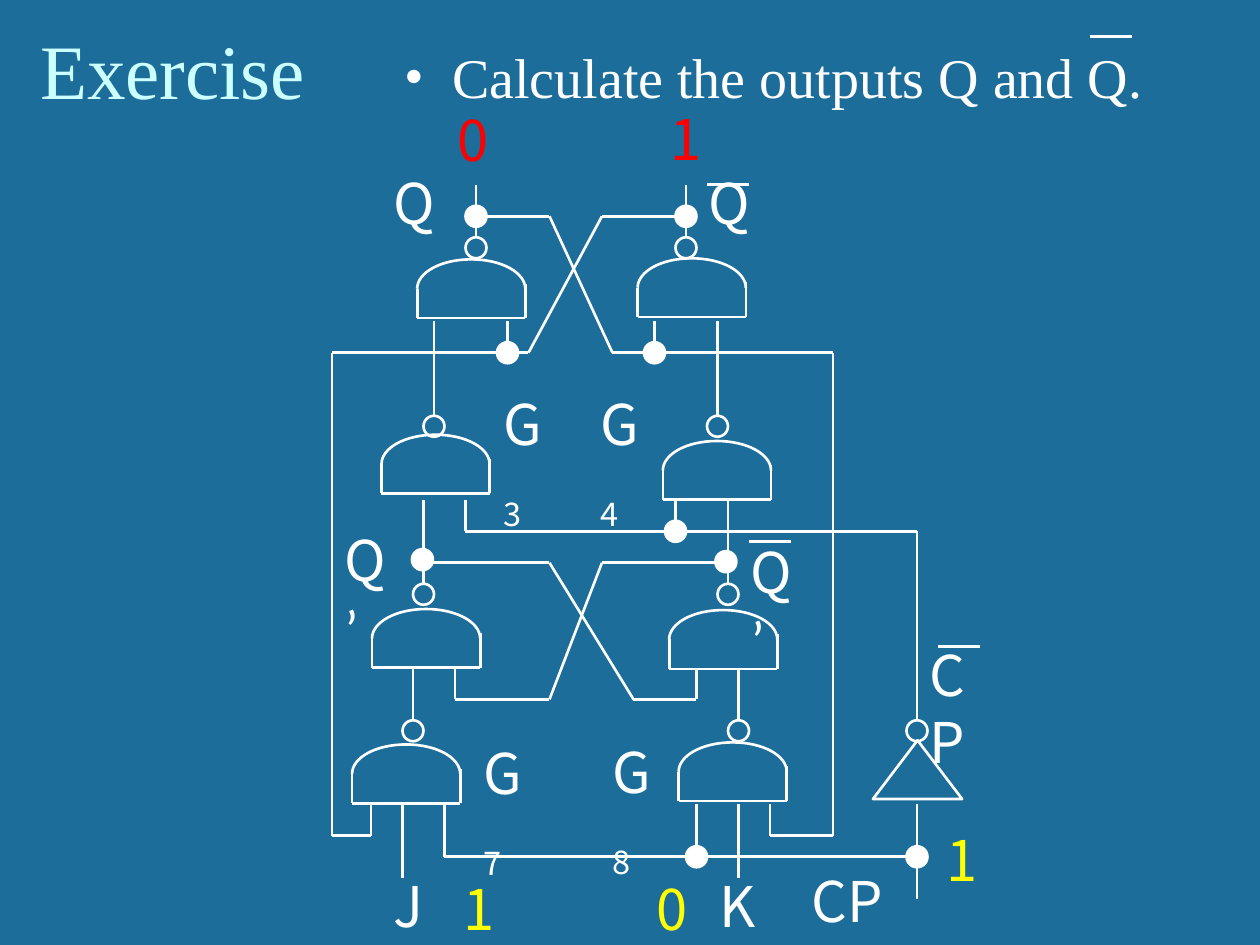
from itertools import pairwise

from lxml import etree
from pptx import Presentation, util as u
from pptx.dml.color import RGBColor
from pptx.enum import shapes, text
from pptx.oxml.ns import qn

WHITE, RED, YELLOW, TITLE, BACKGROUND = "FFFFFF", "FF0000", "FFFF00", "CCFFFF", "1C6D9A"
SERIF, SANS, PRIME = "Times New Roman", "Noto Sans CJK SC", "Calibri"
CELL = 1 / 12
CIRCUIT_ORIGIN = (CELL / 3, 0.05)
LABEL_HEIGHT = 7.6
GATE_WIDTH, GATE_HEIGHT = 10.3, 5.6
# Bezier points of a half ellipse, as shares of its width and height
DOME = [(0, 1), (0, 0.45), (0.22, 0), (0.5, 0), (0.78, 0), (1, 0.45), (1, 1)]

# All places below are columns and rows of the circuit grid.
WIRES = [
    [(45, 22), (45, 17)], [(65, 22), (65, 17)],
    # cross-coupled outputs and their feedback to the first stage
    [(45, 20), (52, 20), (58, 33), (61, 33), (79, 33), (79, 79), (73, 79), (73, 76)],
    [(59, 33), (61, 33)],
    [(65, 20), (57, 20), (50, 33), (48, 33), (31.3, 33), (31.3, 79), (35, 79), (35, 76)],
    [(48, 30), (48, 33)], [(62, 30), (62, 33)],
    [(41, 30), (41, 39)], [(68, 30), (68, 33)], [(68, 32), (68, 39)],
    # inverted clock
    [(44, 47), (44, 50), (87, 50), (87, 68)], [(64, 47), (64, 50)],
    # cross-coupled first latch
    [(40, 47), (40, 50)], [(40, 48), (40, 55)], [(40, 52), (40, 55)],
    [(69, 47), (69, 55)],
    [(40, 53), (52, 53), (60, 66), (66, 66), (66, 63)],
    [(69, 53), (57, 53), (52, 66), (43, 66), (43, 63)],
    [(39, 63), (39, 68)], [(70, 63), (70, 66)], [(70, 65), (70, 68)],
    # inputs J, K and clock
    [(38, 76), (38, 83)], [(70, 76), (70, 83)], [(87, 76), (87, 85)],
    [(42, 76), (42, 81), (88, 81)], [(66, 76), (66, 79)], [(66, 77), (66, 82)],
]
GATES = [(39.4, 24.1), (60.4, 24), (36, 40.8), (62.8, 41.4),
         (35.1, 57.4), (63.4, 57.5), (33.2, 70.3), (64.3, 70.1)]
BUBBLES = [(45, 23), (65, 23), (41, 40), (68, 40), (40, 56), (69, 56),
           (39, 69), (70, 69), (87, 69)]
DOTS = [(45, 20), (65, 20), (48, 33), (62, 33), (64, 50), (66, 81), (87, 81),
        (39.9, 52.7), (68.8, 52.9)]
OVERBARS = [(67, 17), (71, 51), (89, 61)]
LABELS = [  # left, top, width, text, colour
    (36, 14.9, 5, "Q", WHITE), (66, 14.9, 5, "Q", WHITE),
    (36, 81.8, 5, "J", WHITE), (67, 81.8, 5, "K", WHITE),
    (75.8, 81.3, 11, "CP", WHITE), (87, 59.8, 7.8, "CP", WHITE),
    (42.6, 82.1, 5.2, "1", YELLOW), (61, 82.1, 5.2, "0", YELLOW),
    (88.6, 77.4, 5.2, "1", YELLOW),
    (42.1, 8.9, 5.2, "0", RED), (62.3, 8.8, 5.2, "1", RED),
]
PRIMED_LABELS = [(31.3, 48.9, 7.8), (70, 50, 7.9)]
GATE_LABELS = [(46.4, 35.9, "3"), (55.7, 35.9, "4"), (44.5, 69.1, "7"), (56.8, 69, "8")]


def colour(value):
    return RGBColor.from_string(value)


def place(origin, column, row):
    return u.Inches(origin[0] + column * CELL), u.Inches(origin[1] + row * CELL)


def extent(columns, rows):
    return u.Inches(columns * CELL), u.Inches(rows * CELL)


def outline(shape, fill=None):
    shape.shadow.inherit = False
    shape.line.color.rgb = colour(WHITE)
    shape.line.width = u.Pt(1.5)
    if fill:
        shape.fill.solid()
        shape.fill.fore_color.rgb = colour(fill)
    else:
        shape.fill.background()


def add_wire(container, origin, points):
    """Join consecutive grid points with straight connectors."""
    for start, end in pairwise(points):
        wire = container.add_connector(
            shapes.MSO_CONNECTOR.STRAIGHT, *place(origin, *start), *place(origin, *end))
        wire.line.color.rgb = colour(WHITE)
        wire.line.width = u.Pt(1.5)
        etree.SubElement(wire._element.spPr, qn("a:effectLst"))


def add_circle(slide, origin, column, row, fill=None):
    """Circle two cells wide, centred on a grid point."""
    circle = slide.shapes.add_shape(
        shapes.MSO_SHAPE.OVAL, *place(origin, column - 1, row - 1), *extent(2, 2))
    outline(circle, fill)


def add_dome(container, origin, left, top):
    points = [place(origin, left + x * GATE_WIDTH, top + y * GATE_HEIGHT / 2)
              for x, y in DOME]
    builder = container.build_freeform(*points[0])
    builder.add_line_segments(points[1:], close=False)
    dome = builder.convert_to_shape()
    outline(dome)
    segments = list(dome._element.iter(qn("a:lnTo")))
    for first in (0, 3):
        curve = etree.SubElement(segments[first].getparent(), qn("a:cubicBezTo"))
        for segment in segments[first:first + 3]:
            curve.append(segment[0])
            segment.getparent().remove(segment)


def add_gate(slide, origin, left, top):
    group = slide.shapes.add_group_shape()
    add_dome(group.shapes, origin, left, top)
    shoulder, base = top + GATE_HEIGHT / 2, top + GATE_HEIGHT
    right = left + GATE_WIDTH
    add_wire(group.shapes, origin,
             [(left, shoulder), (left, base), (right, base), (right, shoulder - 0.5)])


def add_text(slide, position, size, words, font, points, ink):
    box = slide.shapes.add_textbox(*position, *size)
    box.text_frame.word_wrap = True
    paragraph = box.text_frame.paragraphs[0]
    paragraph.text = words
    paragraph.font.name = font
    paragraph.font.size = u.Pt(points)
    paragraph.font.color.rgb = colour(ink)
    return box


def add_label(slide, origin, left, top, width, words, ink=WHITE):
    box = add_text(slide, place(origin, left, top), extent(width, LABEL_HEIGHT),
                   words, SANS, 32, ink)
    return box.text_frame.paragraphs[0]


def add_heading(slide, width):
    title = add_text(slide, (u.Inches(0.22), u.Inches(0.13)),
                     (u.Inches(8.5), u.Inches(0.83)), "Exercise", SERIF, 44, TITLE)
    title.text_frame.vertical_anchor = text.MSO_ANCHOR.BOTTOM

    left = u.Inches(3.11)
    task = add_text(slide, (left, u.Inches(0.29)), (width - left, u.Inches(4.5)),
                    "Calculate the outputs Q and Q.", SERIF, 32, WHITE)
    paragraph = task.text_frame.paragraphs[0]
    paragraph.runs[0].font.size = u.Pt(32)
    properties = paragraph._p.get_or_add_pPr()
    properties.set("marL", str(u.Inches(0.38)))
    properties.set("indent", str(-u.Inches(0.38)))
    properties.insert(0, etree.Element(qn("a:buFont"), typeface=SERIF))
    properties.insert(1, etree.Element(qn("a:buChar"), char="•"))
    add_wire(slide.shapes, (8.65, 0.29), [(0, 0), (4, 0)])


def add_circuit(slide, origin):
    for points in WIRES:
        add_wire(slide.shapes, origin, points)
    for column, row in OVERBARS:
        add_wire(slide.shapes, origin, [(column, row), (column + 4, row)])
    for gate in GATES:
        add_gate(slide, origin, *gate)
    for bubble in BUBBLES:
        add_circle(slide, origin, *bubble)
    for dot in DOTS:
        add_circle(slide, origin, *dot, fill=WHITE)
    inverter = slide.shapes.add_shape(
        shapes.MSO_SHAPE.ISOSCELES_TRIANGLE, *place(origin, 82.8, 69.9), *extent(8.5, 5.6))
    outline(inverter)


def add_circuit_labels(slide, origin):
    for label in LABELS:
        add_label(slide, origin, *label)
    for left, top, width in PRIMED_LABELS:
        prime = add_label(slide, origin, left, top, width, "Q").add_run()
        prime.text = " ’"
        prime.font.name = PRIME
    for left, top, number in GATE_LABELS:
        subscript = add_label(slide, origin, left, top, 6.9, "G").add_run()
        subscript.text = number
        subscript.font._element.set("baseline", "-25000")


def main():
    presentation = Presentation()
    presentation.slide_width, presentation.slide_height = u.Inches(10), u.Inches(7.5)
    slide = presentation.slides.add_slide(presentation.slide_layouts[6])
    slide.background.fill.solid()
    slide.background.fill.fore_color.rgb = colour(BACKGROUND)
    add_heading(slide, presentation.slide_width)
    add_circuit(slide, CIRCUIT_ORIGIN)
    add_circuit_labels(slide, CIRCUIT_ORIGIN)
    presentation.save("out.pptx")


if __name__ == "__main__":
    main()
